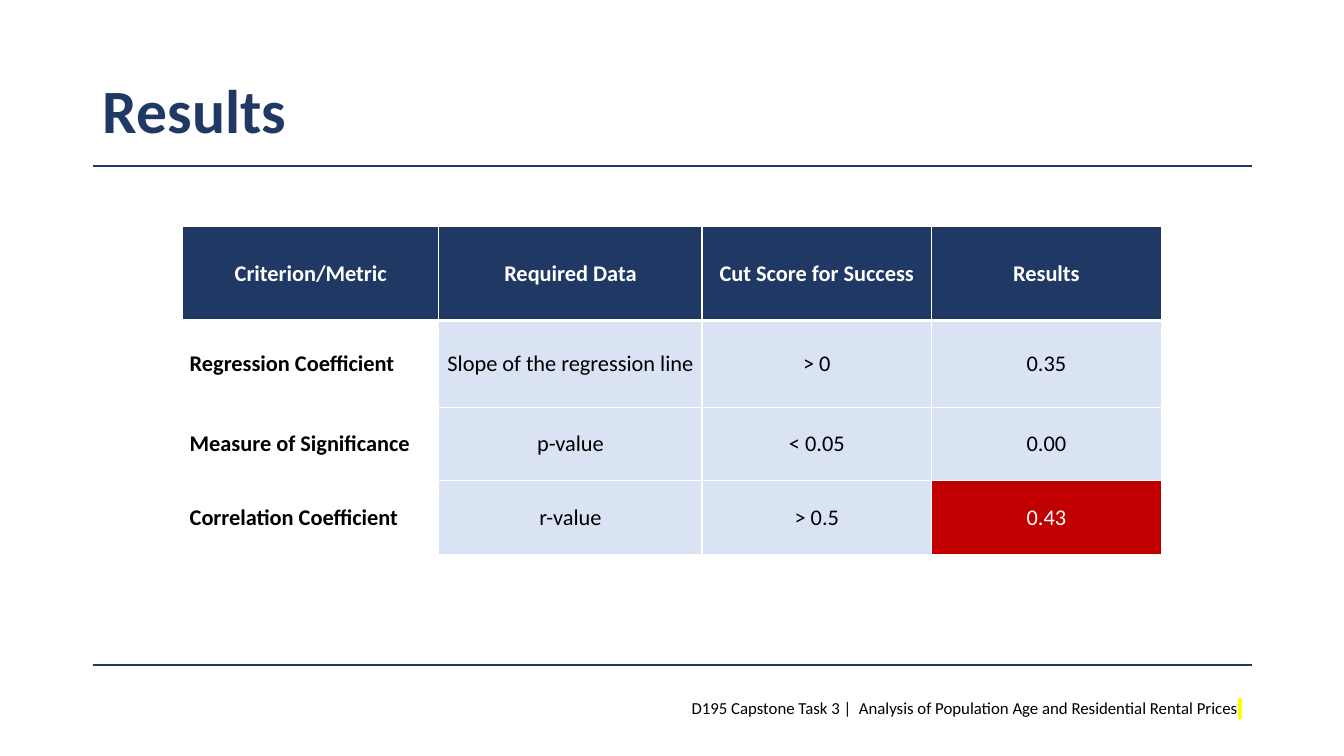
from dataclasses import dataclass

from lxml import etree
from pptx import Presentation
from pptx.dml.color import RGBColor
from pptx.enum.shapes import MSO_CONNECTOR
from pptx.enum.text import MSO_ANCHOR, MSO_AUTO_SIZE, PP_ALIGN
from pptx.oxml.ns import qn
from pptx.util import Pt

NAVY = RGBColor(0x20, 0x38, 0x64)
PALE = RGBColor(0xDA, 0xE3, 0xF3)
RED = RGBColor(0xC0, 0x00, 0x00)
WHITE = RGBColor(0xFF, 0xFF, 0xFF)
BLACK = RGBColor(0x00, 0x00, 0x00)
YELLOW = RGBColor(0xFF, 0xFF, 0x00)

STRAIGHT = MSO_CONNECTOR.STRAIGHT
MIDDLE = MSO_ANCHOR.MIDDLE
NO_AUTOSIZE = MSO_AUTO_SIZE.NONE
LEFT, CENTER, RIGHT, JUSTIFY = (
    PP_ALIGN.LEFT, PP_ALIGN.CENTER, PP_ALIGN.RIGHT, PP_ALIGN.JUSTIFY)

FONT = "Calibri"
RULE_LEFT, RULE_RIGHT = 66.24, 894.24
RULE_TOPS = (118.8, 475.2)
COL_WIDTHS = (183, 188, 164, 164)
ROW_HEIGHTS = (67, 62, 52.5, 52.5)
ROWS = (
    ("Criterion/Metric", "Required Data", "Cut Score for Success", "Results"),
    ("Regression Coefficient", "Slope of the regression line", "> 0", "0.35"),
    ("Measure of Significance", "p-value", "< 0.05", "0.00"),
    ("Correlation Coefficient", "r-value", "> 0.5", "0.43"),
)
MISSED = (3, 3)


@dataclass(frozen=True)
class CellStyle:
    fill: RGBColor | None
    color: RGBColor
    bold: bool
    align: PP_ALIGN


HEADER = CellStyle(NAVY, WHITE, True, CENTER)
FIRST_LABEL = CellStyle(None, BLACK, True, LEFT)
LABEL = CellStyle(None, BLACK, True, JUSTIFY)
VALUE = CellStyle(PALE, BLACK, False, CENTER)
FAILED = CellStyle(RED, WHITE, False, CENTER)


def set_attrs(target, values: dict) -> None:
    for name, value in values.items():
        setattr(target, name, value)


def add_run(p, text: str, size: float, color: RGBColor, bold: bool = False):
    r = p.add_run()
    r.text = text
    set_attrs(r.font, {"name": FONT, "size": Pt(size), "bold": bold})
    r.font.color.rgb = color
    return r


def add_color(parent, tag: str, color: RGBColor):
    """Append an element that holds one RGB colour."""
    element = etree.SubElement(parent, qn(tag))
    etree.SubElement(element, qn("a:srgbClr"), val=str(color))
    return element


def add_rule(slide, top: float) -> None:
    line = slide.shapes.add_connector(
        STRAIGHT, Pt(RULE_LEFT), Pt(top), Pt(RULE_RIGHT), Pt(top))
    line.line.color.rgb = NAVY
    line.line.width = Pt(1.5)
    etree.SubElement(line._element.spPr, qn("a:effectLst"))


def add_title(slide) -> None:
    sp = slide.shapes.title
    set_attrs(sp, {"left": Pt(RULE_LEFT), "top": Pt(28.8),
                   "width": Pt(828), "height": Pt(104.4)})
    set_attrs(sp.text_frame, {"vertical_anchor": MIDDLE, "word_wrap": True,
                              "auto_size": NO_AUTOSIZE})
    p = sp.text_frame.paragraphs[0]
    set_attrs(p, {"alignment": LEFT, "line_spacing": 0.9})
    add_run(p, "Results", 44, NAVY, True)


def set_borders(cell, widths: dict[str, float]) -> None:
    tc_pr = cell._tc.get_or_add_tcPr()
    for side, width in widths.items():
        ln = etree.SubElement(tc_pr, qn(f"a:ln{side}"), w=str(Pt(width)))
        add_color(ln, "a:solidFill", WHITE)


def style_at(row: int, col: int) -> CellStyle:
    if row == 0:
        return HEADER
    if col == 0:
        return FIRST_LABEL if row == 1 else LABEL
    return FAILED if (row, col) == MISSED else VALUE


def fill_cell(cell, text: str, row: int, col: int) -> None:
    style = style_at(row, col)
    set_attrs(cell, {"vertical_anchor": MIDDLE,
                     "margin_left": Pt(5), "margin_right": Pt(5),
                     "margin_top": 0, "margin_bottom": 0})
    set_borders(cell, {"L": 1, "R": 1, "T": 3 if row == 1 else 1,
                       "B": 3 if row == 0 else 1})
    if style.fill is None:
        cell.fill.background()
    else:
        cell.fill.solid()
        cell.fill.fore_color.rgb = style.fill
    p = cell.text_frame.paragraphs[0]
    p.alignment = style.align
    add_run(p, text, 16, style.color, style.bold)


def add_results_table(slide) -> None:
    table = slide.shapes.add_table(
        len(ROWS), len(COL_WIDTHS), Pt(130.5), Pt(162),
        Pt(sum(COL_WIDTHS)), Pt(sum(ROW_HEIGHTS))).table
    table.horz_banding = False
    for column, width in zip(table.columns, COL_WIDTHS):
        column.width = Pt(width)
    for i, (height, texts) in enumerate(zip(ROW_HEIGHTS, ROWS)):
        table.rows[i].height = Pt(height)
        for j, text in enumerate(texts):
            fill_cell(table.cell(i, j), text, i, j)


def add_footer(slide) -> None:
    sp = slide.shapes.add_textbox(Pt(241.2), Pt(494.64), Pt(653.04), Pt(28.8))
    sp.text_frame.word_wrap = True
    p = sp.text_frame.paragraphs[0]
    p.alignment = RIGHT
    add_run(p, "D195 Capstone Task 3 |  Analysis of Population Age and "
               "Residential Rental Prices", 12, BLACK)
    r = add_run(p, " ", 12, BLACK)
    r_pr = r._r.get_or_add_rPr()
    highlight = add_color(r_pr, "a:highlight", YELLOW)
    r_pr.find(qn("a:solidFill")).addnext(highlight)


def main() -> None:
    prs = Presentation()
    set_attrs(prs, {"slide_width": Pt(960), "slide_height": Pt(540)})
    slide = prs.slides.add_slide(prs.slide_layouts[5])
    for top in RULE_TOPS:
        add_rule(slide, top)
    add_title(slide)
    add_results_table(slide)
    add_footer(slide)
    prs.save("out.pptx")


if __name__ == "__main__":
    main()
